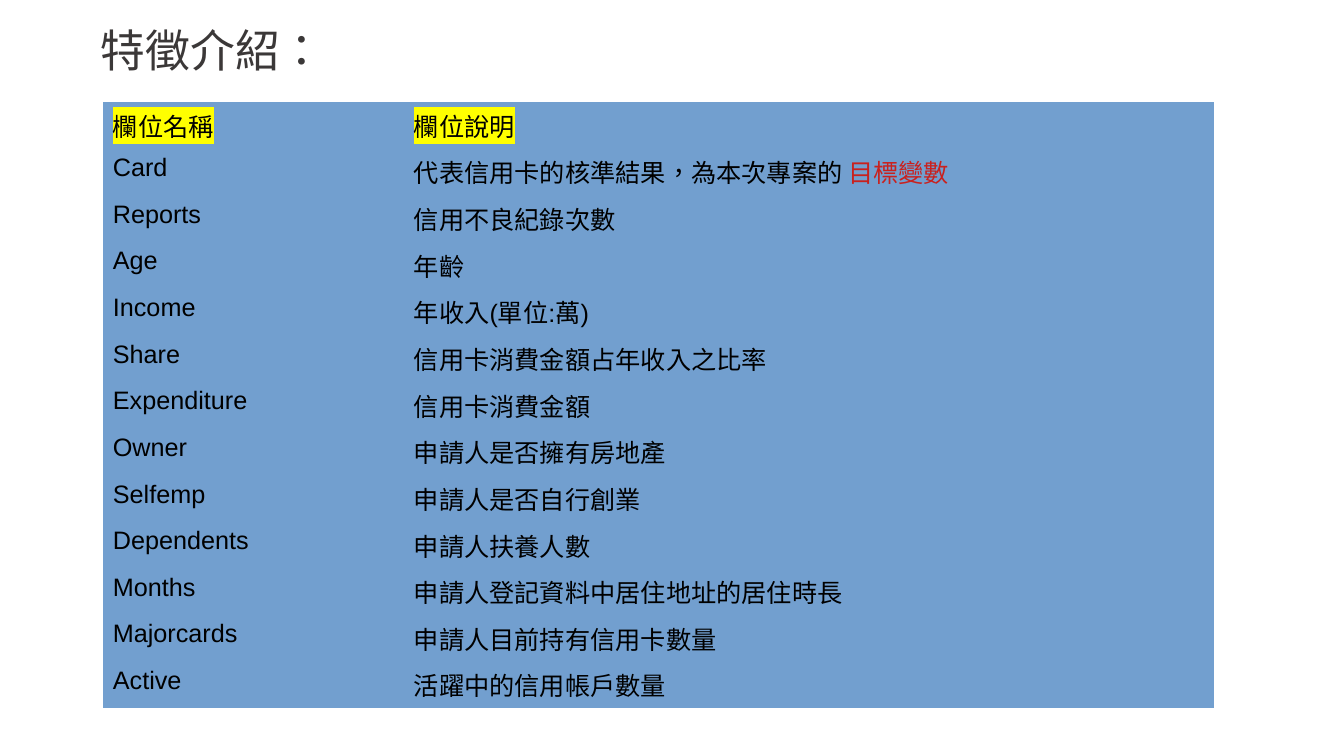
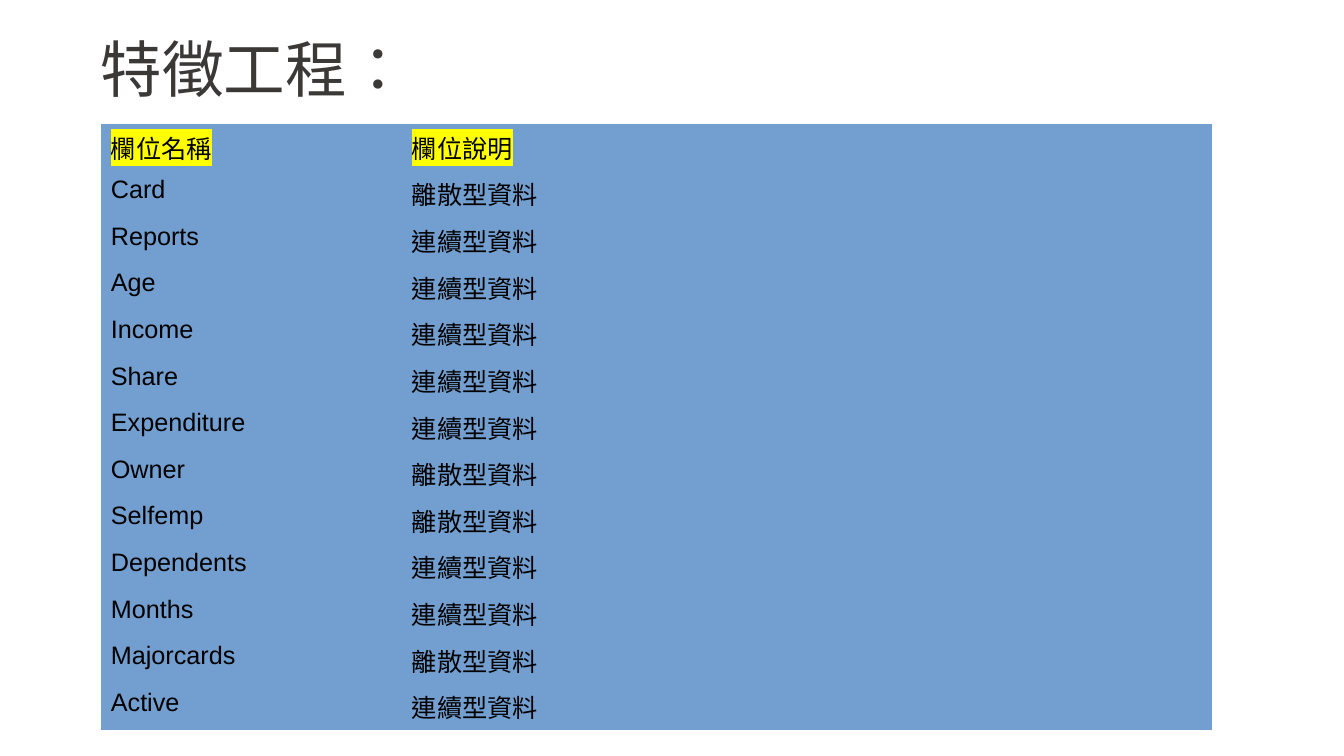
from pptx import Presentation
from pptx.dml.color import RGBColor
from pptx.enum.lang import MSO_LANGUAGE_ID
from pptx.enum.text import MSO_ANCHOR
from pptx.oxml.ns import qn
from pptx.util import Inches, Pt
from lxml.etree import SubElement

WIDE, HIGH = Inches(13.33), Inches(7.5)
INK, BLACK, RED = "3B3838", "000000", "C9211E"
BLUE, YELLOW = "729FCF", "FFFF00"
LATIN, HAN = "Arial", "Noto Sans CJK SC"
PLAIN = "{2D5ABB26-0587-4C30-8999-92F81FD0307C}"
COLS = (22.4, 60.3)
ROW = 6.17

HEAD = ("欄位名稱", "欄位說明")
FIELDS = ("Card", "Reports", "Age", "Income", "Share", "Expenditure", "Owner",
          "Selfemp", "Dependents", "Months", "Majorcards", "Active")
NOTES = (
    ("代表信用卡的核準結果，為本次專案的 ", "目標變數"),
    "信用不良紀錄次數",
    "年齡",
    "年收入(單位:萬)",
    "信用卡消費金額占年收入之比率",
    "信用卡消費金額",
    "申請人是否擁有房地產",
    "申請人是否自行創業",
    "申請人扶養人數",
    "申請人登記資料中居住地址的居住時長",
    "申請人目前持有信用卡數量",
    "活躍中的信用帳戶數量",
)
DISCRETE = {"Card", "Owner", "Selfemp", "Majorcards"}
KINDS = ["離散型資料" if field in DISCRETE else "連續型資料" for field in FIELDS]


def across(share):
    return int(WIDE * share / 100)


def down(share):
    return int(HIGH * share / 100)


def color(code):
    return RGBColor.from_string(code)


def style(run, size, ink, face):
    font = run.font
    font.size = Pt(size)
    font.color.rgb = color(ink)
    font.name = face
    font.language_id = MSO_LANGUAGE_ID.TRADITIONAL_CHINESE
    latin = font._element.find(qn("a:latin"))
    east = SubElement(font._element, qn("a:ea"), typeface=HAN)
    latin.addnext(east)


def mark(run, code):
    props = run.font._element
    glow = SubElement(props, qn("a:highlight"))
    SubElement(glow, qn("a:srgbClr"), val=code)
    props.find(qn("a:solidFill")).addnext(glow)


def add_title(slide, text, size, height):
    box = slide.shapes.add_textbox(across(6.75), 0, across(86.25), down(height))
    frame = box.text_frame
    frame.word_wrap = True
    frame.vertical_anchor = MSO_ANCHOR.MIDDLE
    frame.text = text
    line = frame.paragraphs[0]
    line.line_spacing = 0.9
    style(line.runs[0], size, INK, HAN)


def fill_cell(cell, text, head):
    cell.fill.solid()
    cell.fill.fore_color.rgb = color(BLUE)
    parts = (text,) if isinstance(text, str) else text
    line = cell.text_frame.paragraphs[0]
    for part, ink in zip(parts, (BLACK, RED)):
        run = line.add_run()
        run.text = part
        style(run, 18, ink, LATIN)
        if head:
            mark(run, YELLOW)


def add_grid(slide, left, top, notes):
    rows = [HEAD, *zip(FIELDS, notes)]
    shape = slide.shapes.add_table(len(rows), len(COLS), across(left), down(top),
                                   across(sum(COLS)), down(ROW * len(rows)))
    table = shape.table
    table.first_row = table.horz_banding = False
    for look in shape.element.iter(qn("a:tableStyleId")):
        look.text = PLAIN
    for column, share in zip(table.columns, COLS):
        column.width = across(share)
    for index, (row, texts) in enumerate(zip(table.rows, rows)):
        row.height = down(ROW)
        for cell, text in zip(row.cells, texts):
            fill_cell(cell, text, index == 0)


def main():
    deck = Presentation()
    deck.slide_width, deck.slide_height = WIDE, HIGH
    pages = (
        ("特徵介紹：", 32, 14, 7.65, 13.5, NOTES),
        ("特徵工程：", 44, 19.33, 7.5, 16.4, KINDS),
    )
    for title, size, height, left, top, notes in pages:
        slide = deck.slides.add_slide(deck.slide_layouts[6])
        add_title(slide, title, size, height)
        add_grid(slide, left, top, notes)
    deck.save("out.pptx")


if __name__ == "__main__":
    main()
